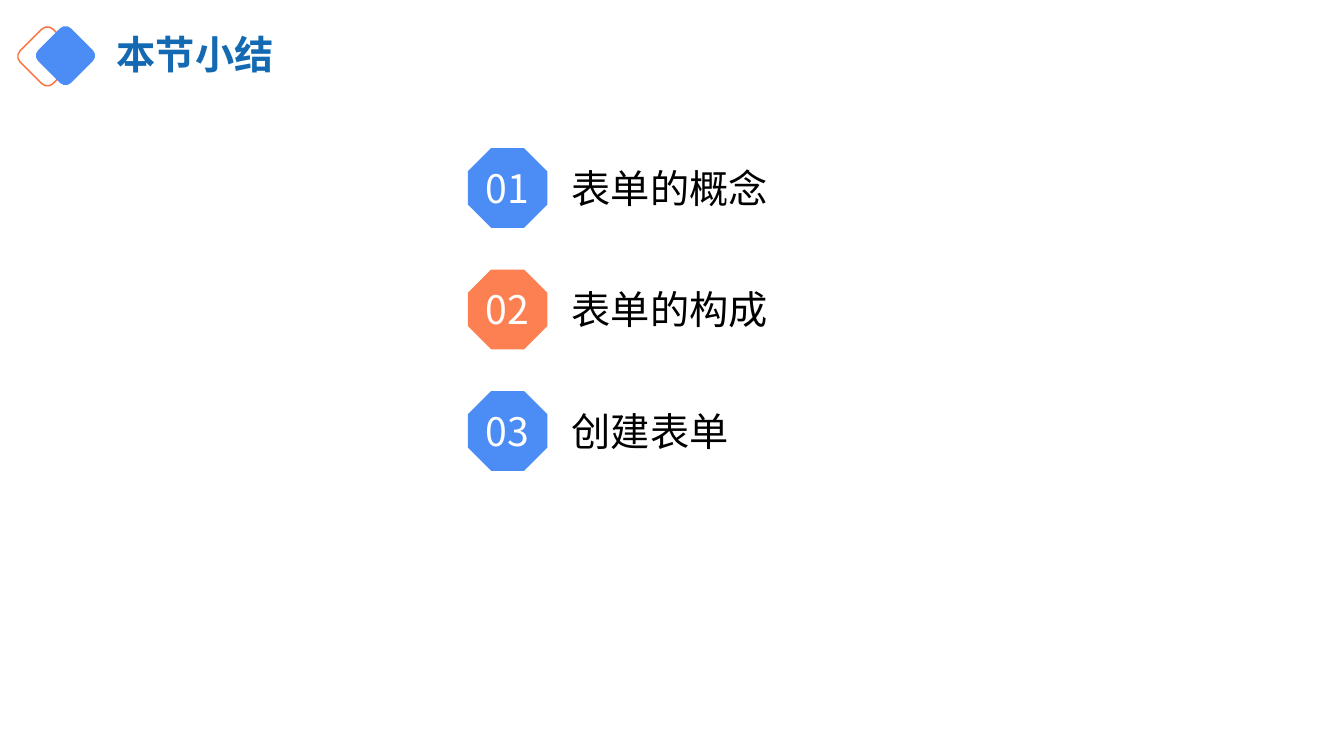
from dataclasses import dataclass

import lxml.etree
import pptx
import pptx.dml.color
import pptx.enum.shapes
import pptx.enum.text
import pptx.oxml.ns
import pptx.shapes.autoshape
import pptx.slide
import pptx.util

SHAPES = pptx.enum.shapes.MSO_SHAPE
ALIGN = pptx.enum.text.PP_ALIGN
ANCHOR = pptx.enum.text.MSO_ANCHOR

SLIDE_WIDTH = pptx.util.Inches(13.33)
SLIDE_HEIGHT = pptx.util.Inches(7.5)
COLUMN = SLIDE_WIDTH / 100
ROW = SLIDE_HEIGHT / 100


@dataclass(frozen=True)
class Theme:
    blue: str = "4C8CF5"
    orange: str = "FD8052"
    outline: str = "FD703B"
    title: str = "1369B2"
    black: str = "000000"
    white: str = "FFFFFF"
    chinese_font: str = "Noto Sans CJK SC"
    latin_font: str = "Arial"
    text_size: int = 28
    outline_width: int = 1


@dataclass(frozen=True)
class Area:
    column: float
    row: float
    columns: float
    rows: float

    def lengths(self) -> tuple[int, int, int, int]:
        return (round(self.column * COLUMN), round(self.row * ROW),
                round(self.columns * COLUMN), round(self.rows * ROW))


@dataclass(frozen=True)
class Badge:
    preset: SHAPES
    area: Area
    rotation: int
    fill: str | None = None
    outline: str | None = None


@dataclass(frozen=True)
class Caption:
    text: str
    area: Area
    color: str
    font: str
    bold: bool = False
    align: ALIGN = ALIGN.LEFT
    anchor: ANCHOR = ANCHOR.TOP
    line_spacing: float = 1.0


@dataclass(frozen=True)
class Topic:
    text: str
    color: str


THEME = Theme()
TOPICS = [
    Topic("表单的概念", THEME.blue),
    Topic("表单的构成", THEME.orange),
    Topic("创建表单", THEME.blue),
]
FIRST_TOPIC_ROW = 19.6
TOPIC_PITCH = 16.07
TEXT_DROP = 1.47


def draw_badge(slide: pptx.slide.Slide, badge: Badge) -> None:
    shape = slide.shapes.add_shape(badge.preset, *badge.area.lengths())
    shape.rotation = badge.rotation
    shape.shadow.inherit = False
    if badge.fill:
        shape.fill.solid()
        shape.fill.fore_color.rgb = pptx.dml.color.RGBColor.from_string(badge.fill)
    else:
        shape.fill.background()
    if badge.outline:
        shape.line.color.rgb = pptx.dml.color.RGBColor.from_string(badge.outline)
        shape.line.width = pptx.util.Pt(THEME.outline_width)
    else:
        shape.line.fill.background()


def draw_caption(slide: pptx.slide.Slide, caption: Caption) -> None:
    shape = slide.shapes.add_textbox(*caption.area.lengths())
    frame = shape.text_frame
    frame.word_wrap = True
    frame.vertical_anchor = caption.anchor
    frame.text = caption.text
    paragraph = frame.paragraphs[0]
    paragraph.alignment = caption.align
    paragraph.line_spacing = caption.line_spacing
    run = paragraph.runs[0]
    run.font.size = pptx.util.Pt(THEME.text_size)
    run.font.bold = caption.bold
    run.font.name = caption.font
    run.font.color.rgb = pptx.dml.color.RGBColor.from_string(caption.color)
    properties = run._r.get_or_add_rPr()
    east_asian = lxml.etree.SubElement(properties, pptx.oxml.ns.qn("a:ea"))
    east_asian.set("typeface", THEME.chinese_font)


def draw_header(slide: pptx.slide.Slide) -> None:
    draw_badge(slide, Badge(SHAPES.ROUNDED_RECTANGLE, Area(1.8, 4.4, 3.45, 6.13),
                            45, outline=THEME.outline))
    draw_badge(slide, Badge(SHAPES.ROUNDED_RECTANGLE, Area(3.15, 4.3, 3.45, 6.13),
                            45, fill=THEME.blue))
    draw_caption(slide, Caption("本节小结", Area(7.95, 2.27, 38.48, 10.53),
                                THEME.title, THEME.chinese_font, bold=True,
                                anchor=ANCHOR.MIDDLE, line_spacing=0.9))


def draw_topic(slide: pptx.slide.Slide, index: int, topic: Topic) -> None:
    row = FIRST_TOPIC_ROW + index * TOPIC_PITCH
    text_row = row + TEXT_DROP
    draw_badge(slide, Badge(SHAPES.OCTAGON, Area(34.8, row, 5.93, 10.53),
                            90, fill=topic.color))
    draw_caption(slide, Caption(f"{index + 1:02}", Area(35.2, text_row, 5.1, 7.6),
                                THEME.white, THEME.chinese_font, align=ALIGN.CENTER))
    draw_caption(slide, Caption(topic.text, Area(41.8, text_row, 19.2, 7.6),
                                THEME.black, THEME.latin_font))


def main() -> None:
    presentation = pptx.Presentation()
    presentation.slide_width = SLIDE_WIDTH
    presentation.slide_height = SLIDE_HEIGHT
    slide = presentation.slides.add_slide(presentation.slide_layouts[6])
    draw_header(slide)
    for index, topic in enumerate(TOPICS):
        draw_topic(slide, index, topic)
    presentation.save("out.pptx")


if __name__ == "__main__":
    main()
